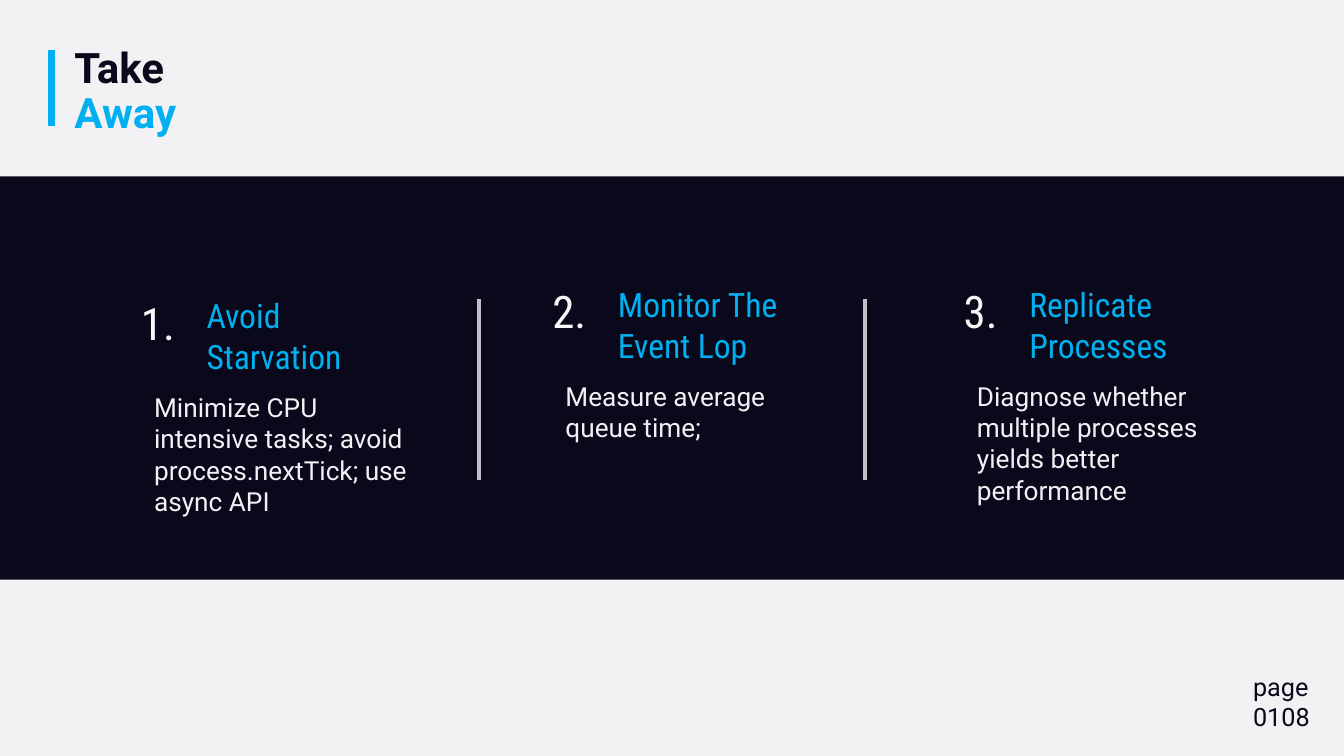
import pptx
import pptx.dml.color
import pptx.enum.shapes
import pptx.enum.text
import pptx.oxml.xmlchemy
import pptx.util

Inches = pptx.util.Inches
COLORS = {
    "paper": "F2F2F5",
    "navy": "0A091B",
    "accent": "00B0F0",
    "divider": "C0C0C8",
    "number": "F8F8F8",
}
BODY_FONT = "Roboto"
LABEL_FONT = "Roboto Condensed"

TAKEAWAYS = [
    ("Avoid Starvation",
     "Minimize CPU intensive tasks; avoid process.nextTick; use async API", 2.88),
    ("Monitor The Event Lop", "Measure average queue time;", 2.77),
    ("Replicate Processes",
     "Diagnose whether multiple processes yields better performance", 2.77),
]
FIRST_LEFT, COLUMN_STEP = 1.3, 4.08


def rgb(name):
    return pptx.dml.color.RGBColor.from_string(COLORS[name])


def add_run(paragraph, text, size=18, color="navy", font=BODY_FONT, bold=False):
    run = paragraph.add_run()
    run.text = text
    run.font.size = pptx.util.Pt(size)
    run.font.name = font
    run.font.bold = bold
    run.font.color.rgb = rgb(color)


class SlideBuilder:
    """Draws styled elements on one slide; lengths are in inches."""

    def __init__(self, slide):
        self.slide = slide
        slide.background.fill.solid()
        slide.background.fill.fore_color.rgb = rgb("paper")

    def band(self, left, top, width, height, color):
        band = self.slide.shapes.add_shape(
            pptx.enum.shapes.MSO_SHAPE.RECTANGLE,
            Inches(left), Inches(top), Inches(width), Inches(height))
        band.shadow.inherit = False
        band.fill.solid()
        band.fill.fore_color.rgb = rgb(color)
        band.line.fill.background()

    def vertical_line(self, x, top, bottom, color, weight):
        line = self.slide.shapes.add_connector(
            pptx.enum.shapes.MSO_CONNECTOR.STRAIGHT,
            Inches(x), Inches(top), Inches(x), Inches(bottom))
        line.line.color.rgb = rgb(color)
        line.line.width = pptx.util.Pt(weight)
        line._element.spPr.append(pptx.oxml.xmlchemy.OxmlElement("a:effectLst"))

    def text(self, left, top, width, height, lines, wrap=True, **style):
        """Put each line in its own paragraph and return the last paragraph."""
        frame = self.slide.shapes.add_textbox(
            Inches(left), Inches(top), Inches(width), Inches(height)).text_frame
        frame.word_wrap = wrap
        for index, line in enumerate(lines):
            paragraph = frame.add_paragraph() if index else frame.paragraphs[0]
            add_run(paragraph, line, **style)
        return paragraph

    def takeaway(self, number, left, top, heading, detail):
        self.text(left + 0.13, top + 0.95, 2.79, 1.36, [detail],
                  size=18.7, color="paper")
        self.text(left + 0.65, top, 2.18, 0.91, [heading],
                  size=24, color="accent", font=LABEL_FONT)
        self.text(left, top, 0.7, 0.64, [f"{number}."], wrap=False,
                  size=32, color="number", font=LABEL_FONT)


def main():
    deck = pptx.Presentation()
    deck.slide_width, deck.slide_height = Inches(13.33), Inches(7.5)
    builder = SlideBuilder(deck.slides.add_slide(deck.slide_layouts[6]))

    builder.vertical_line(0.51, 0.5, 1.25, "accent", 5)
    builder.band(0, 1.75, 13.33, 4, "navy")

    title = builder.text(0.64, 0.42, 3.97, 1.01, ["Take"], size=30, bold=True)
    title.line_spacing = 0.9
    title.add_line_break()
    add_run(title, "Away", size=30, color="accent", bold=True)

    builder.text(12.33, 6.61, 1.26, 0.7, ["page", "0108"])

    for divider_x in (4.75, 8.58):
        builder.vertical_line(divider_x, 2.97, 4.76, "divider", 3)
    for index, (heading, detail, top) in enumerate(TAKEAWAYS):
        builder.takeaway(index + 1, FIRST_LEFT + index * COLUMN_STEP, top,
                         heading, detail)

    deck.save("out.pptx")


if __name__ == "__main__":
    main()
